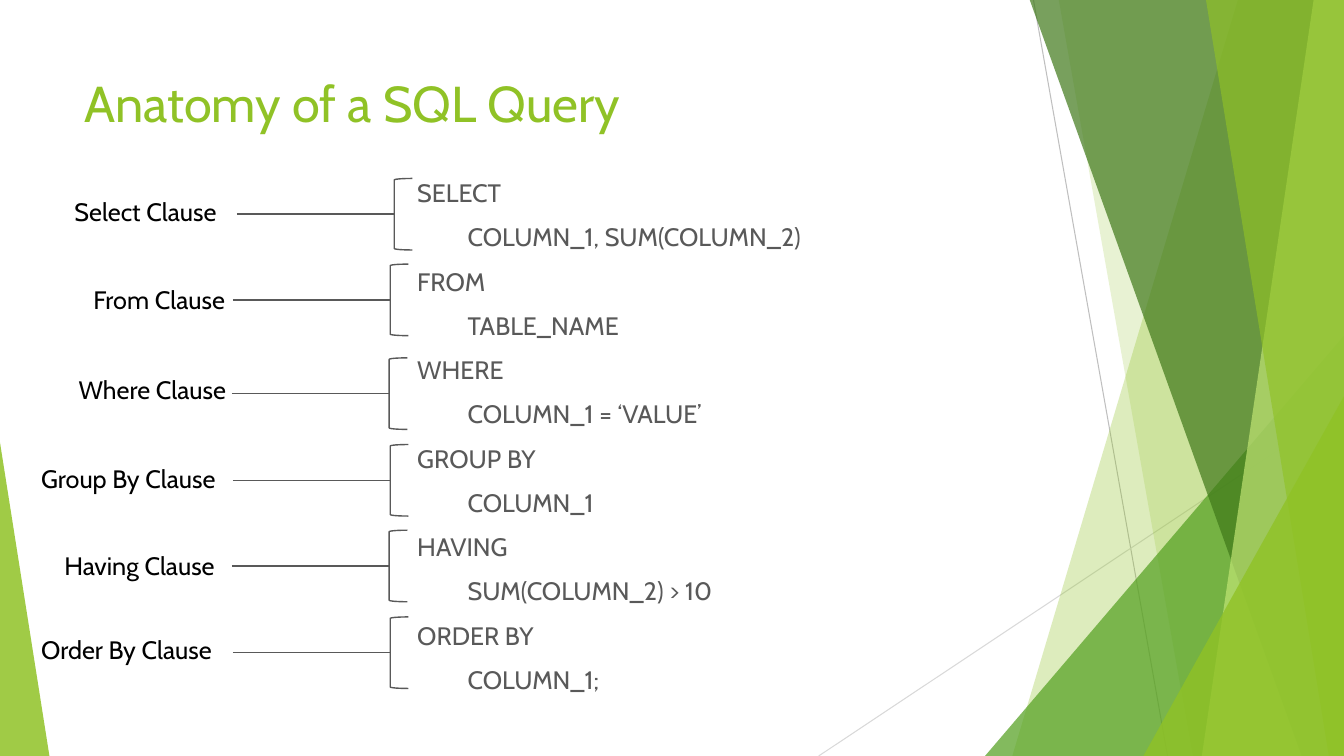
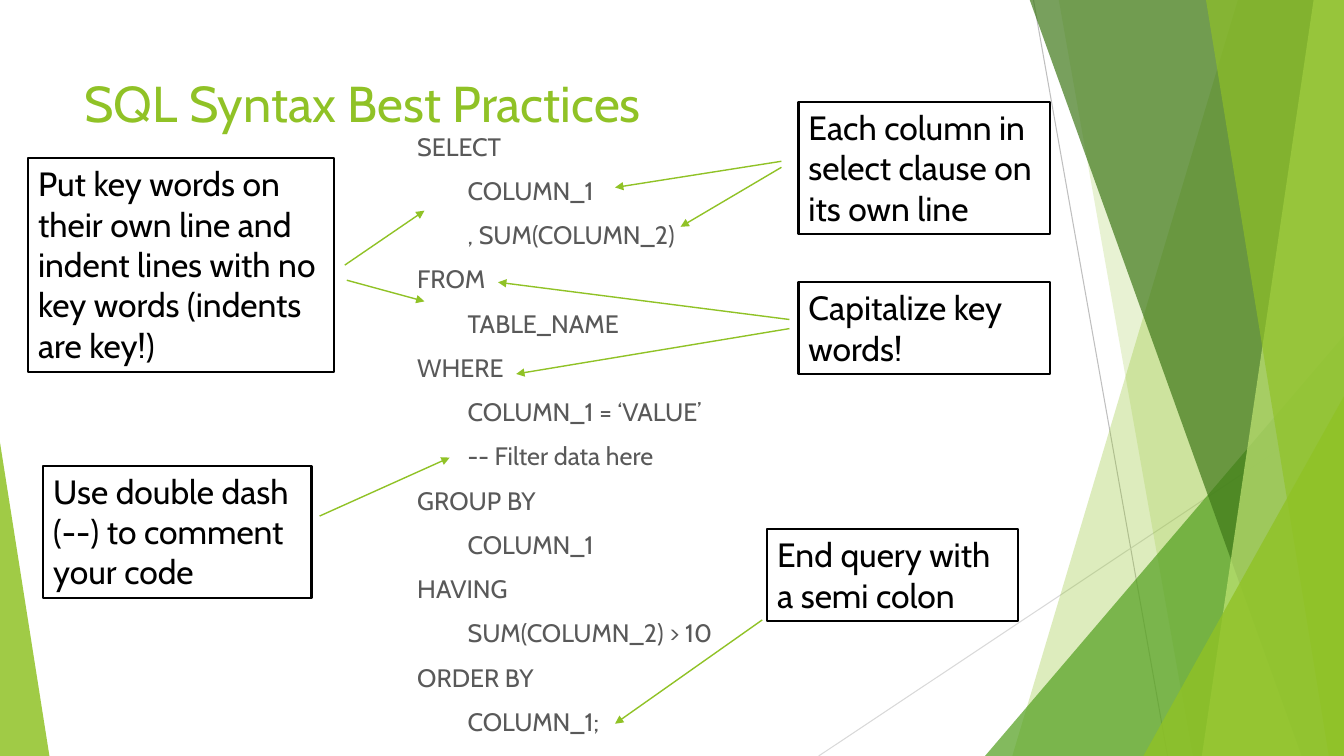
from lxml import etree
from pptx import Presentation
from pptx.dml import color
from pptx.enum import shapes, text
from pptx.oxml import ns
from pptx.util import Inches, Pt

WIDTH, HEIGHT = 13.33, 7.5
FONT = "Cabin"
GREEN, GREY, BLACK, WHITE = "90C226", "595959", "000000", "FFFFFF"
LEFT, RIGHT = text.PP_ALIGN.LEFT, text.PP_ALIGN.RIGHT
KEYWORDS = {"SELECT", "FROM", "WHERE", "GROUP BY", "HAVING", "ORDER BY"}
BRACKET_WIDTH, BRACKET_HEIGHT, LEADER = 0.18, 0.71, 1.56

CLAUSE_CODE = [
    "SELECT", "COLUMN_1, SUM(COLUMN_2)", "FROM", "TABLE_NAME",
    "WHERE", "COLUMN_1 = ‘VALUE’", "GROUP BY", "COLUMN_1",
    "HAVING", "SUM(COLUMN_2) > 10", "ORDER BY", "COLUMN_1;",
]
PRACTICE_CODE = [
    "SELECT", "COLUMN_1", ", SUM(COLUMN_2)", "FROM", "TABLE_NAME",
    "WHERE", "COLUMN_1 = ‘VALUE’", "-- Filter data here", "GROUP BY", "COLUMN_1",
    "HAVING", "SUM(COLUMN_2) > 10", "ORDER BY", "COLUMN_1;",
]
CLAUSES = [
    ("Select Clause", (0.64, 1.9, 1.8, 0.4), LEFT, (3.91, 1.77)),
    ("From Clause", (0.53, 2.77, 1.8, 0.4), RIGHT, (3.87, 2.62)),
    ("Where Clause", (0.54, 3.66, 1.8, 0.4), RIGHT, (3.86, 3.55)),
    ("Group By Clause", (0.31, 4.55, 2.16, 0.4), LEFT, (3.87, 4.41)),
    ("Having Clause", (0.54, 5.41, 1.8, 0.4), LEFT, (3.86, 5.26)),
    ("Order By Clause", (0.31, 6.24, 2.16, 0.4), LEFT, (3.87, 6.12)),
]
PRACTICES = [
    ("Put key words on their own line and indent lines with no key words (indents are key!)",
     (0.28, 1.57, 3.03, 2.12),
     [((3.42, 2.63), (4.21, 2.09)), ((3.44, 2.78), (4.21, 2.99))]),
    ("Capitalize key words!", (7.92, 2.8, 2.49, 0.91),
     [((7.83, 3.17), (4.94, 2.8)), ((7.83, 3.26), (5.12, 3.71))]),
    ("End query with a semi colon", (7.61, 5.25, 2.49, 0.91),
     [((7.56, 6.15), (6.1, 7.18))]),
    ("Use double dash (--) to comment your code", (0.43, 4.62, 2.66, 1.31),
     [((3.17, 5.12), (4.46, 4.54))]),
    ("Each column in select clause on its own line", (7.92, 1.01, 2.49, 1.31),
     [((7.75, 1.6), (6.1, 1.86)), ((7.75, 1.66), (6.75, 2.25))]),
]


def rgb(value):
    """Turn a hex string into a colour."""
    return color.RGBColor.from_string(value)


def emu(lengths):
    """Convert a sequence of inches to lengths."""
    return [Inches(length) for length in lengths]


def paint(shape, fill=None, opacity=100, line=None, weight=1):
    """Set the fill, opacity and outline of a shape and drop its shadow."""
    shape.shadow.inherit = False
    if fill:
        shape.fill.solid()
        shape.fill.fore_color.rgb = rgb(fill)
        tint = shape._element.spPr.find(ns.qn("a:solidFill"))[0]
        if opacity < 100:
            etree.SubElement(tint, ns.qn("a:alpha"), val=str(opacity * 1000))
    else:
        shape.fill.background()
    if line:
        shape.line.color.rgb = rgb(line)
        shape.line.width = Pt(weight)
    else:
        shape.line.fill.background()


def add_line(owner, start, end, stroke, weight=1, arrow=False):
    """Draw a straight line, with an arrowhead at its end if asked."""
    line = owner.shapes.add_connector(shapes.MSO_CONNECTOR.STRAIGHT, *emu(start + end))
    line.line.color.rgb = rgb(stroke)
    line.line.width = Pt(weight)
    if arrow:
        etree.SubElement(line.line._get_or_add_ln(), ns.qn("a:tailEnd"), type="triangle")
    etree.SubElement(line._element.spPr, ns.qn("a:effectLst"))
    return line


def add_wedge(owner, top_x, bottom_x, fill, opacity):
    """Draw a full-height band from a slanted left edge to the right slide edge."""
    top = -0.01
    corners = [(top_x, top), (WIDTH, top), (WIDTH, HEIGHT), (bottom_x, HEIGHT)]
    start, *rest = [tuple(emu(corner)) for corner in corners]
    builder = owner.shapes.build_freeform(*start)
    builder.add_line_segments(rest, close=True)
    paint(builder.convert_to_shape(), fill, opacity)


def add_triangle(owner, left, top, right, apex, fill, opacity):
    """Draw a right triangle that stands on the bottom slide edge."""
    triangle = owner.shapes.add_shape(
        shapes.MSO_SHAPE.ISOSCELES_TRIANGLE, *emu((left, top, right - left, HEIGHT - top)))
    triangle.adjustments[0] = apex
    paint(triangle, fill, opacity)


def decorate(layout, page):
    """Build the green facets as one group and hand it to the layout."""
    facets = page.shapes.add_group_shape()
    add_line(facets, (10.25, 0), (11.58, HEIGHT), "BFBFBF", 0.75)
    add_line(facets, (WIDTH, 4.03), (8.12, HEIGHT), "D9D9D9", 0.75)
    add_wedge(facets, 12.28, 10.04, GREEN, 30)
    add_wedge(facets, 10.5, 11.83, GREEN, 20)
    add_triangle(facets, 9.77, 3.33, WIDTH, 1, "54A021", 72)
    add_wedge(facets, 10.21, 12.91, "3F7819", 70)
    add_wedge(facets, 13.03, 11.92, "C0E474", 70)
    add_wedge(facets, 11.96, 13.18, GREEN, 65)
    add_triangle(facets, 11.34, 3.93, WIDTH, 1, GREEN, 80)
    add_triangle(facets, 0, 4.39, 0.49, 0, GREEN, 85)
    layout.shapes._spTree.insert(2, facets._element)


def write(para, words, size, ink, align=LEFT):
    """Add one formatted run to a paragraph."""
    para.alignment = align
    span = para.add_run()
    span.text = words
    span.font.name = FONT
    span.font.size = Pt(size)
    span.font.color.rgb = rgb(ink)


def add_text(page, place, words, size, ink, align=LEFT):
    """Add a wrapping text box with one paragraph."""
    box = page.shapes.add_textbox(*emu(place))
    box.text_frame.word_wrap = True
    write(box.text_frame.paragraphs[0], words, size, ink, align)


def add_code(page, top, lines):
    """Add a query with every line that is not a keyword indented."""
    box = page.shapes.add_textbox(*emu((4.04, top, 4.13, 4.51)))
    frame = box.text_frame
    frame.word_wrap = True
    for index, line in enumerate(lines):
        para = frame.add_paragraph() if index else frame.paragraphs[0]
        para.space_before = Pt(10)
        if line not in KEYWORDS:
            para._p.get_or_add_pPr().set("marL", str(Inches(0.5)))
        write(para, line, 18, GREY)


def add_clause(page, label, place, align, corner):
    """Add a clause label with its bracket and the line that joins them."""
    left, top = corner
    bracket = page.shapes.add_shape(
        shapes.MSO_SHAPE.LEFT_BRACKET, *emu((left, top, BRACKET_WIDTH, BRACKET_HEIGHT)))
    paint(bracket, line=GREY)
    middle = top + BRACKET_HEIGHT / 2
    leader = add_line(page, (left - LEADER, middle), (left, middle), GREY)
    leader.end_connect(bracket, 1)
    add_text(page, place, label, 18, BLACK, align)


def add_callout(page, words, place, arrows):
    """Add a framed tip and the arrows that point from it to the code."""
    box = page.shapes.add_shape(shapes.MSO_SHAPE.RECTANGLE, *emu(place))
    paint(box, WHITE, line=BLACK, weight=1.5)
    box.text_frame.word_wrap = True
    box.text_frame.vertical_anchor = text.MSO_ANCHOR.TOP
    write(box.text_frame.paragraphs[0], words, 24, BLACK)
    for start, end in arrows:
        add_line(page, start, end, GREEN, arrow=True)


def add_page(deck, title, code_top, code):
    """Add a page with its title and query."""
    page = deck.slides.add_slide(deck.slide_layouts[6])
    add_text(page, (0.74, 0.67, 9.4, 1.44), title, 36, GREEN)
    add_code(page, code_top, code)
    return page


def main():
    """Build and save the deck."""
    deck = Presentation()
    deck.slide_width, deck.slide_height = emu((WIDTH, HEIGHT))
    anatomy = add_page(deck, "Anatomy of a SQL Query", 1.71, CLAUSE_CODE)
    decorate(deck.slide_layouts[6], anatomy)
    for clause in CLAUSES:
        add_clause(anatomy, *clause)
    practices = add_page(deck, "SQL Syntax Best Practices", 1.25, PRACTICE_CODE)
    for practice in PRACTICES:
        add_callout(practices, *practice)
    deck.save("out.pptx")


if __name__ == "__main__":
    main()
